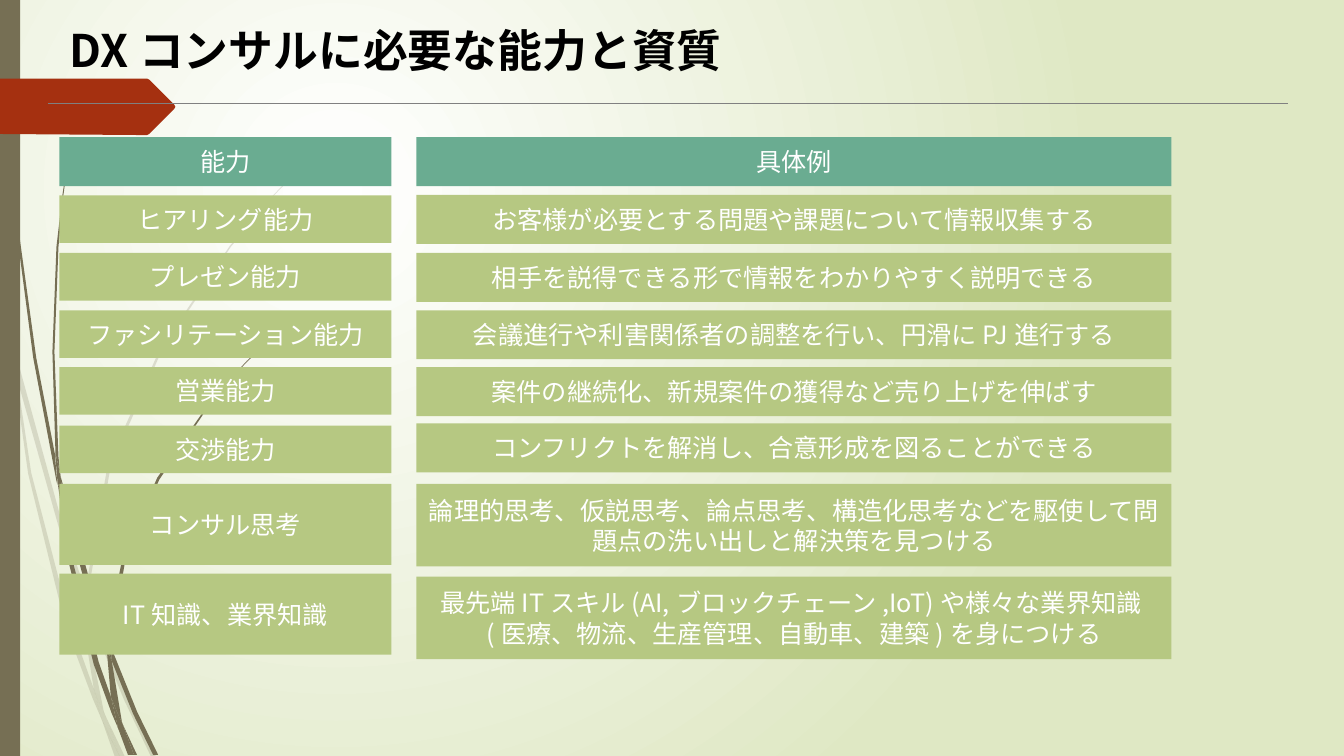
import pptx
import pptx.util
import pptx.oxml
import pptx.oxml.ns
import pptx.dml.color
import pptx.enum.shapes
import pptx.enum.text
import lxml.etree

Pt = pptx.util.Pt
RGB = pptx.dml.color.RGBColor
qn = pptx.oxml.ns.qn
Align = pptx.enum.text.PP_ALIGN
Mid = pptx.enum.text.MSO_ANCHOR.MIDDLE

BROWN = RGB(0x76, 0x6F, 0x54)
RED = RGB(0xA5, 0x30, 0x10)
TEAL = RGB(0x6A, 0xAC, 0x91)
GREEN = RGB(0xB6, 0xC8, 0x82)
GRAY = RGB(0x80, 0x80, 0x80)
WHITE = RGB(0xFF, 0xFF, 0xFF)
BLACK = RGB(0, 0, 0)
FACE = "Noto Sans CJK JP"
UNIT = Pt(0.72)  # outline grid

TITLE = {"size": Pt(32), "bold": True, "name": FACE}
CELL = {"size": Pt(18), "name": FACE}

BACK = """<p:bg xmlns:p="http://schemas.openxmlformats.org/presentationml/2006/main"
 xmlns:a="http://schemas.openxmlformats.org/drawingml/2006/main"><p:bgPr>
<a:gradFill rotWithShape="1"><a:gsLst>
<a:gs pos="0"><a:srgbClr val="FFFFFF"/></a:gs>
<a:gs pos="100000"><a:srgbClr val="DFE8C4"/></a:gs></a:gsLst>
<a:path path="circle"><a:fillToRect l="50000" t="50000" r="100000" b="100000"/></a:path>
</a:gradFill><a:effectLst/></p:bgPr></p:bg>"""

# Grass blades: corner points on the outline grid
PALE = [
    [(11, 350), (9, 322), (0, 282), (0, 299), (10, 344)],
    [(58, 522), (84, 599), (85, 586), (62, 520), (14, 345), (17, 376)],
    [(92, 607), (88, 596), (88, 610), (123, 694), (150, 751), (155, 751), (127, 692)],
    [(119, 751), (124, 751), (105, 711)],
    [(93, 683), (70, 619), (31, 469), (17, 376), (11, 350), (28, 470),
     (65, 621), (92, 693), (101, 714), (99, 707)],
    [(84, 599), (87, 646), (93, 683), (96, 692), (105, 711), (103, 706),
     (91, 646), (88, 610), (88, 608)],
    [(88, 584), (110, 462), (160, 349), (229, 245), (268, 198), (290, 175),
     (312, 154), (312, 153), (289, 175), (268, 197), (228, 244), (158, 348),
     (107, 461), (85, 584), (85, 586), (88, 596)],
    [(101, 714), (114, 751), (119, 751)],
    [(96, 692), (93, 683), (99, 707), (101, 714), (119, 751), (105, 711)],
]
DARK = [
    [(7, 110), (17, 233), (33, 355), (56, 477), (57, 481), (55, 457), (55, 453),
     (36, 355), (19, 232), (8, 109), (5, 48), (4, 0), (3, 0), (4, 48)],
    [(88, 592), (106, 645), (106, 633), (106, 631), (93, 590), (60, 472), (64, 505)],
    [(113, 649), (110, 641), (111, 656), (132, 708), (152, 749), (157, 749), (136, 706)],
    [(110, 691), (98, 657), (72, 556), (64, 505), (57, 477), (68, 557),
     (93, 659), (111, 708), (117, 722), (116, 717)],
    [(60, 472), (58, 453), (54, 349), (58, 245), (63, 193), (70, 141),
     (62, 193), (56, 245), (52, 349), (55, 449)],
    [(133, 749), (136, 749), (122, 719)],
    [(57, 477), (64, 505), (60, 472), (55, 449), (55, 453)],
    [(111, 633), (125, 552), (158, 476), (205, 406), (231, 374), (245, 359),
     (261, 344), (260, 344), (245, 358), (231, 373), (204, 405), (156, 474),
     (122, 551), (106, 631), (110, 641)],
    [(117, 722), (127, 749), (131, 749)],
    [(106, 645), (110, 691), (116, 706), (122, 719), (121, 716), (111, 656), (109, 651)],
    [(106, 645), (109, 651), (111, 656), (110, 641), (106, 631), (106, 633)],
    [(116, 706), (110, 691), (116, 717), (117, 722), (130, 749), (133, 749), (122, 719)],
]
ARROW = [(173, 108), (148, 133), (146, 134), (136, 134), (0, 133), (0, 78),
         (146, 78), (148, 79), (173, 104), (174, 106)]

# Columns: left, width
LEFT, RIGHT = (42.5, 237), (297.4, 539.3)
# Rows: left top, left height, left text, right top, right height, right text
ROWS = [
    (98, 35, "能力", 98, 35, "具体例"),
    (139.5, 34, "ヒアリング能力", 139.2, 35, "お客様が必要とする問題や課題について情報収集する"),
    (180.7, 34, "プレゼン能力", 180.7, 35, "相手を説得できる形で情報をわかりやすく説明できる"),
    (221.6, 34, "ファシリテーション能力", 221.6, 35, "会議進行や利害関係者の調整を行い、円滑にPJ進行する"),
    (262.2, 34, "営業能力", 262.2, 35, "案件の継続化、新規案件の獲得など売り上げを伸ばす"),
    (304, 34, "交渉能力", 302.4, 35, "コンフリクトを解消し、合意形成を図ることができる"),
    (345.6, 58, "コンサル思考", 345.6, 59,
     "論理的思考、仮説思考、論点思考、構造化思考などを駆使して問題点の洗い出しと解決策を見つける"),
    (409.7, 58, "IT知識、業界知識", 411.8, 59,
     "最先端ITスキル(AI,ブロックチェーン,IoT)や様々な業界知識(医療、物流、生産管理、自動車、建築)を身につける"),
]


def paint(shape, color, alpha=None):
    shape.shadow.inherit = False
    shape.fill.solid()
    shape.fill.fore_color.rgb = color
    shape.line.fill.background()
    if alpha:
        tone = shape.element.spPr.find(qn("a:solidFill"))[0]
        lxml.etree.SubElement(tone, qn("a:alpha"), val=str(alpha * 1000))


def blade(shapes, dots, color, alpha=None):
    form = shapes.build_freeform(*dots[0], scale=UNIT)
    form.add_line_segments(dots[1:], close=True)
    paint(form.convert_to_shape(), color, alpha)


def write(frame, text, look, color, align):
    para = frame.paragraphs[0]
    para.alignment = align
    run = para.add_run()
    run.text = text
    for key, value in look.items():
        setattr(run.font, key, value)
    run.font.color.rgb = color
    lxml.etree.SubElement(run.font._element, qn("a:ea"), typeface=FACE)


def block(shapes, left, top, width, height, color):
    kind = pptx.enum.shapes.MSO_SHAPE.RECTANGLE
    shape = shapes.add_shape(kind, Pt(left), Pt(top), Pt(width), Pt(height))
    paint(shape, color)
    return shape


def cell(shapes, col, top, height, text, color):
    left, width = col
    frame = block(shapes, left, top, width, height, color).text_frame
    frame.word_wrap = True
    frame.vertical_anchor = Mid
    write(frame, text, CELL, WHITE, Align.CENTER)


def title(shapes, text):
    box = shapes.add_textbox(Pt(42.5), Pt(13), Pt(494), Pt(46))
    box.text_frame.word_wrap = False
    write(box.text_frame, text, TITLE, BLACK, Align.LEFT)


def rule(shapes):
    kind = pptx.enum.shapes.MSO_CONNECTOR.STRAIGHT
    line = shapes.add_connector(kind, Pt(34.5), Pt(74), Pt(920.2), Pt(74))
    line.line.color.rgb = GRAY
    line.line.width = Pt(0.75)
    lxml.etree.SubElement(line.element.spPr, qn("a:effectLst"))


def main():
    deck = pptx.Presentation()
    deck.slide_width, deck.slide_height = Pt(960), Pt(540)
    slide = deck.slides.add_slide(deck.slide_layouts[6])
    slide.element.cSld.insert(0, pptx.oxml.parse_xml(BACK))
    shapes = slide.shapes

    # Side decoration
    for dots in PALE:
        blade(shapes, dots, BROWN, 20)
    for dots in DARK:
        blade(shapes, dots, BROWN)
    block(shapes, 0, 0, 14.4, 540, BROWN)
    blade(shapes, ARROW, RED)

    # Heading
    title(shapes, "DXコンサルに必要な能力と資質")
    rule(shapes)

    # Skills and examples
    for num, (top, high, skill, top2, high2, case) in enumerate(ROWS):
        color = GREEN if num else TEAL
        cell(shapes, LEFT, top, high, skill, color)
        cell(shapes, RIGHT, top2, high2, case, color)

    deck.save("out.pptx")


if __name__ == "__main__":
    main()
